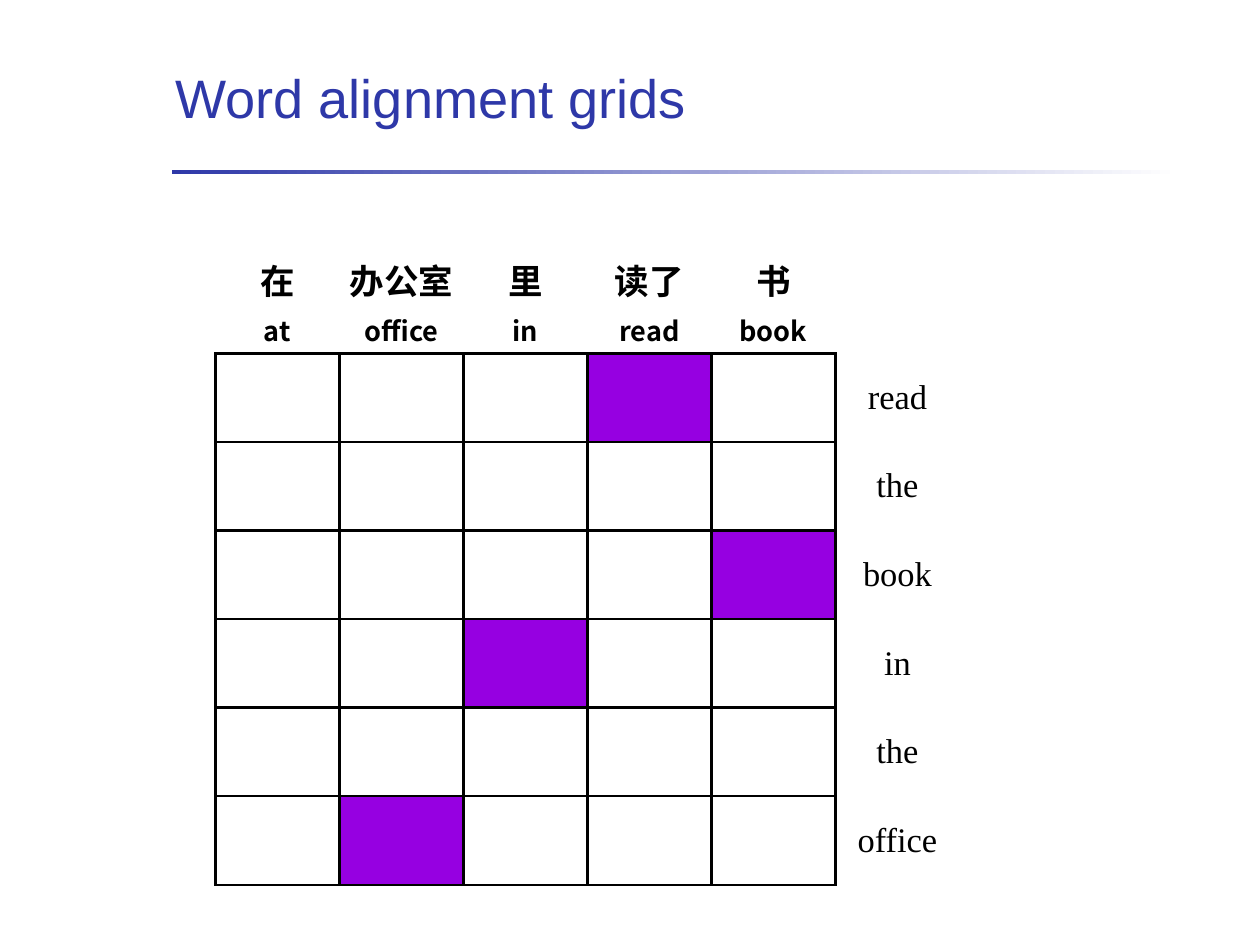
import pptx
import pptx.dml.color
import pptx.enum.shapes
import pptx.enum.text
import pptx.oxml
import pptx.oxml.ns
import pptx.util
from pptx.util import Inches

BLUE, PURPLE, BLACK, WHITE = "2E38A8", "9600E1", "000000", "FFFFFF"
CHINESE_FONT = "Noto Sans CJK SC"
MIDDLE = pptx.enum.text.MSO_ANCHOR.MIDDLE
CENTER = pptx.enum.text.PP_ALIGN.CENTER

chinese_words = [("在", "at"), ("办公室", "office"), ("里", "in"), ("读了", "read"), ("书", "book")]
english_words = ["read", "the", "book", "in", "the", "office"]
aligned_cells = {(1, 3), (3, 4), (4, 2), (6, 1)}  # (row, column)


def rgb(hex_string):
    return pptx.dml.color.RGBColor.from_string(hex_string)


def add_text(paragraph, text, color, **font_format):
    run = paragraph.add_run()
    run.text = text
    run.font.color.rgb = rgb(color)
    for name, value in font_format.items():
        setattr(run.font, name, value)
    if font_format["name"] == CHINESE_FONT:
        east_asian = pptx.oxml.parse_xml(
            f'<a:ea {pptx.oxml.ns.nsdecls("a")} typeface="{CHINESE_FONT}"/>')
        run.font._element.find(pptx.oxml.ns.qn("a:latin")).addnext(east_asian)


presentation = pptx.Presentation()
presentation.slide_width = Inches(14.22)
presentation.slide_height = Inches(10.67)
slide = presentation.slides.add_slide(presentation.slide_layouts[6])

# Title and fading rule
rule = slide.shapes.add_shape(pptx.enum.shapes.MSO_SHAPE.RECTANGLE,
                              Inches(1.94), Inches(1.92), Inches(11.37), Inches(0.05))
rule.shadow.inherit = False
rule.line.fill.background()
rule.fill.gradient()
rule.fill.gradient_angle = 0
for stop, color, position in zip(rule.fill.gradient_stops, (BLUE, WHITE), (0, 1)):
    stop.color.rgb = rgb(color)
    stop.position = position

title = slide.shapes.add_textbox(Inches(1.84), Inches(0.2), Inches(11.26), Inches(1.78))
title_format = {
    "word_wrap": True, "vertical_anchor": MIDDLE,
    "margin_left": Inches(0.14), "margin_right": Inches(0.14),
    "margin_top": Inches(0.07), "margin_bottom": Inches(0.07),
}
for name, value in title_format.items():
    setattr(title.text_frame, name, value)
add_text(title.text_frame.paragraphs[0], "Word alignment grids", BLUE,
         name="Arial", size=pptx.util.Pt(44))

# Alignment grid: Chinese words across the top, English words down the right
label_column = len(chinese_words)
row_count, column_count = len(english_words) + 1, label_column + 1
header_height, row_height = 1.17, 1
table = slide.shapes.add_table(
    row_count, column_count, Inches(2.43), Inches(2.82), Inches(1.4 * column_count),
    Inches(header_height + row_height * len(english_words))).table
table.first_row = False
table.horz_banding = False

for row in range(row_count):
    is_header = row == 0
    table.rows[row].height = Inches(header_height if is_header else row_height)
    for column in range(column_count):
        cell = table.cell(row, column)
        cell.vertical_anchor = MIDDLE
        is_label = column == label_column
        if is_header:
            ruled_sides = "" if is_label else "B"
        else:
            ruled_sides = "L" if is_label else "LRTB"
        properties = cell._tc.get_or_add_tcPr()
        for side in "LRTB":
            line_fill = (f'<a:solidFill><a:srgbClr val="{BLACK}"/></a:solidFill>'
                         if side in ruled_sides else "<a:noFill/>")
            properties.append(pptx.oxml.parse_xml(
                f'<a:ln{side} {pptx.oxml.ns.nsdecls("a")} w="{pptx.util.Pt(2.25)}">'
                f'{line_fill}</a:ln{side}>'))
        cell.fill.solid()
        cell.fill.fore_color.rgb = rgb(PURPLE if (row, column) in aligned_cells else WHITE)

for column, (chinese, gloss) in enumerate(chinese_words):
    text_frame = table.cell(0, column).text_frame
    word_line, gloss_line = text_frame.paragraphs[0], text_frame.add_paragraph()
    gloss_line.space_before = pptx.util.Pt(5)
    for paragraph, text, size in ((word_line, chinese, 28), (gloss_line, gloss, 22)):
        paragraph.alignment = CENTER
        add_text(paragraph, text, BLACK, name=CHINESE_FONT, size=pptx.util.Pt(size), bold=True)

for row, english in enumerate(english_words, start=1):
    paragraph = table.cell(row, label_column).text_frame.paragraphs[0]
    paragraph.alignment = CENTER
    add_text(paragraph, english, BLACK, name="Times New Roman", size=pptx.util.Pt(28), bold=False)

presentation.save("out.pptx")
